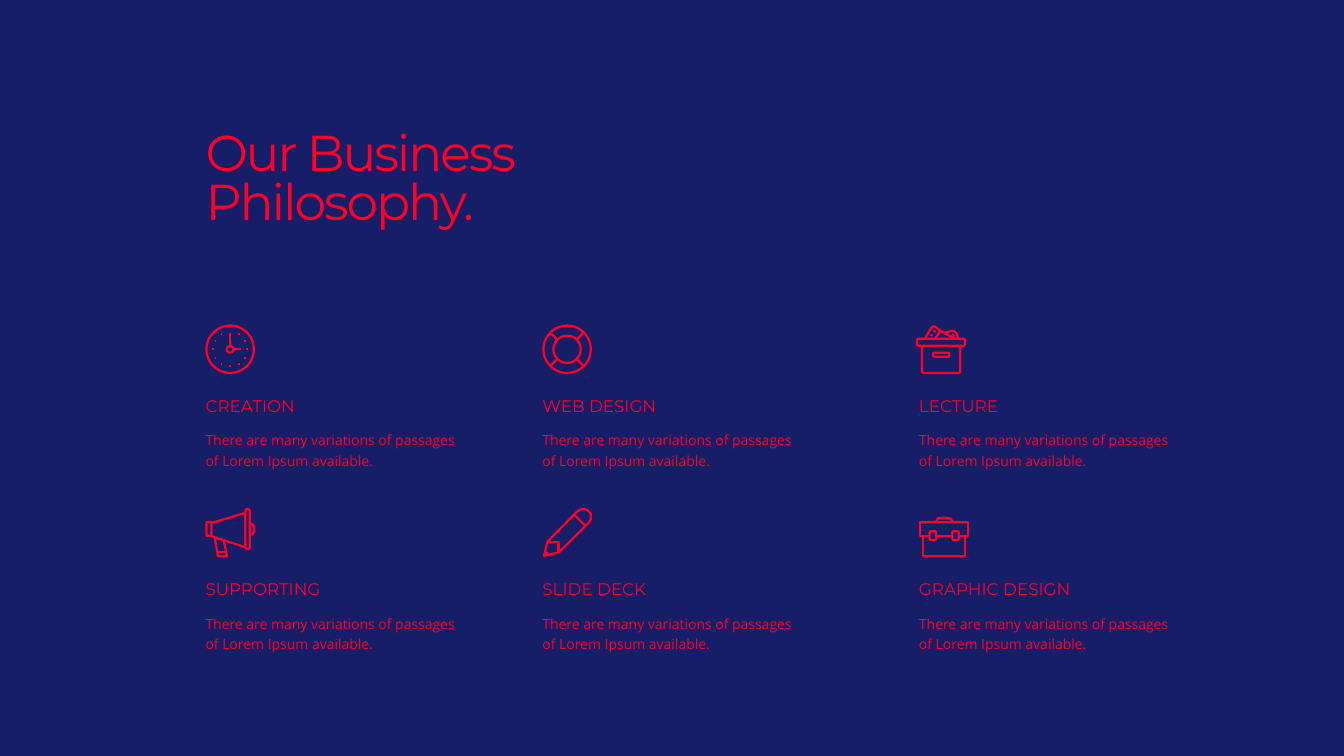
import math

from pptx import Presentation
from pptx import util as u
from pptx.dml.color import RGBColor
from pptx.enum import text

NAVY, RED = "151E67", "FF0028"
ICON_SIZE = 1.27
GRID = 50  # icon coordinates run from 0 to 50 across ICON_SIZE
COLUMN_LEFTS = (5.18, 13.67, 23.16)
ROW_TOPS = (8.18, 12.8)
DESCRIPTION = "There are many variations of passages of Lorem Ipsum available."


def color(hex_string):
    return RGBColor.from_string(hex_string)


def polar(x, y, radius, degrees):
    angle = math.radians(degrees)
    return x + radius * math.cos(angle), y + radius * math.sin(angle)


def circle(x, y, radius):
    return [polar(x, y, radius, degrees) for degrees in range(0, 361, 6)]


def rounded_box(left, top, right, bottom, radius=1.5):
    corners = ((right - radius, bottom - radius, 0), (left + radius, bottom - radius, 90),
               (left + radius, top + radius, 180), (right - radius, top + radius, 270))
    points = [polar(x, y, radius, start + turn)
              for x, y, start in corners for turn in (0, 30, 60, 90)]
    return points + points[:1]


def clock():
    middle = 24.5
    hands = [[(middle, 21.2), (middle, 8)], [(28, middle), (35, middle)]]
    hour_marks = [polar(middle, middle, 17, 30 * hour - 90) for hour in range(1, 12)]
    return [circle(middle, middle, 23.5), circle(middle, middle, 3.3), *hands,
            *([(x - 0.8, y), (x + 0.8, y)] for x, y in hour_marks)]


def lifebuoy():
    middle, inner, outer = 24.5, 13.5, 23.5
    spokes = [[polar(middle, middle, radius, degrees) for radius in (inner, outer)]
              for degrees in range(45, 360, 90)]
    return [circle(middle, middle, inner), circle(middle, middle, outer), *spokes]


def storage_box():
    return [
        rounded_box(-2, 14, 45.5, 21),
        [(3, 21), (3, 47), (4, 48), (40, 48), (41, 47), (41, 21)],
        rounded_box(14, 28, 30, 32, 1),
        [(6, 14), (12, 3.5), (14, 2), (16, 2), (21, 6), (16, 14)],
        [(21, 6), (35, 14)],
        [(25, 8), (34, 6), (37, 8), (39, 14)],
        [(11.5, 10), (13.5, 11)],
        [(14.5, 6), (16.5, 7.5)],
        [(33, 9.5), (35, 12)],
    ]


def megaphone():
    return [
        rounded_box(1, 14, 6, 28, 1),
        [(6, 15), (39.5, 5)],
        [(6, 28), (39.5, 39)],
        rounded_box(39.5, 1, 44, 41, 2.2),
        [(44, 15.5), (47, 16.5), (48.5, 19), (48.5, 23), (47, 26), (44, 27)],
        [(9, 29), (12.5, 48), (21.5, 48), (18, 32)],
        [(12, 44), (21, 44)],
    ]


def pencil():
    return [
        [(1.5, 47.5), (5, 33.5), (35, 3), (38, 1.5), (41, 1), (45, 2.5),
         (48, 6), (48, 11), (46, 14.5), (16.5, 44), (1.5, 47.5)],
        [(5, 33.5), (16, 33.5), (16, 44)],
        [(32, 7), (42, 17)],
        [(3.5, 43.5), (6, 46)],
    ]


def briefcase():
    return [
        [(10.5, 28), (1, 28), (1, 14), (48.5, 14), (48.5, 28), (39.5, 28)],
        [(17, 28), (33, 28)],
        [(4, 28), (4, 48), (46, 48), (46, 28)],
        rounded_box(10.5, 23, 17, 32),
        rounded_box(33, 23, 39.5, 32),
        [(17, 14), (18, 11), (20, 10), (29, 10), (32, 11), (33, 14)],
    ]


def add_icon(slide, strokes, left, top):
    """Draw all strokes of one icon as a single outlined freeform."""
    unit = ICON_SIZE / GRID
    placed = [[(u.Cm(left + x * unit), u.Cm(top + y * unit)) for x, y in stroke]
              for stroke in strokes]
    builder = slide.shapes.build_freeform(*placed[0][0])
    for stroke in placed:
        builder.move_to(*stroke[0])
        builder.add_line_segments(stroke[1:], close=stroke[0] == stroke[-1])
    icon = builder.convert_to_shape()
    icon.shadow.inherit = False
    icon.fill.background()
    icon.line.color.rgb = color(RED)
    icon.line.width = u.Pt(1.6)


def format_text(shape, content, font_name, size, line_spacing, top_inset, bottom_inset):
    frame = shape.text_frame
    frame.text = content
    frame.word_wrap = True
    frame.vertical_anchor = text.MSO_ANCHOR.TOP
    frame.margin_left = frame.margin_right = 0
    frame.margin_top, frame.margin_bottom = u.Cm(top_inset), u.Cm(bottom_inset)
    paragraph = frame.paragraphs[0]
    paragraph.alignment = text.PP_ALIGN.LEFT
    paragraph.line_spacing = line_spacing
    paragraph.font.name = font_name
    paragraph.font.size = u.Pt(size)
    paragraph.font.color.rgb = color(RED)


def add_label(slide, content, box, font_name, size, line_spacing):
    label = slide.shapes.add_textbox(*map(u.Cm, box))
    format_text(label, content, font_name, size, line_spacing, 0.13, 0.13)
    label.text_frame.auto_size = text.MSO_AUTO_SIZE.SHAPE_TO_FIT_TEXT


def place_title(slide, left, top, width, height):
    title = slide.shapes.title
    title.left, title.top, title.width, title.height = map(u.Cm, (left, top, width, height))
    format_text(title, "Our Business\vPhilosophy.", "Montserrat", 36, 0.8, 0.53, 0)
    title.text_frame.auto_size = text.MSO_AUTO_SIZE.NONE
    for run in title.text_frame.paragraphs[0].runs:
        run.font._element.set("spc", "-150")


def add_service(slide, heading, strokes, left, top):
    add_icon(slide, strokes, left, top)
    add_label(slide, heading, (left, top + 1.8, 5.61, 0.69), "Montserrat", 12, 0.7)
    add_label(slide, DESCRIPTION, (left, top + 2.49, 6.65, 1.27), "Open Sans", 10, 1.2)


def build_philosophy_slide(presentation):
    slide = presentation.slides.add_slide(presentation.slide_layouts[5])
    slide.background.fill.solid()
    slide.background.fill.fore_color.rgb = color(NAVY)
    place_title(slide, COLUMN_LEFTS[0], 2.82, 11.73, 4.5)
    services = (
        (("CREATION", clock), ("WEB DESIGN", lifebuoy), ("LECTURE", storage_box)),
        (("SUPPORTING", megaphone), ("SLIDE DECK", pencil), ("GRAPHIC DESIGN", briefcase)),
    )
    for top, row in zip(ROW_TOPS, services):
        for left, (heading, icon) in zip(COLUMN_LEFTS, row):
            add_service(slide, heading, icon(), left, top)


def main():
    presentation = Presentation()
    presentation.slide_width, presentation.slide_height = u.Cm(33.87), u.Cm(19.05)
    build_philosophy_slide(presentation)
    presentation.save("out.pptx")


if __name__ == "__main__":
    main()
